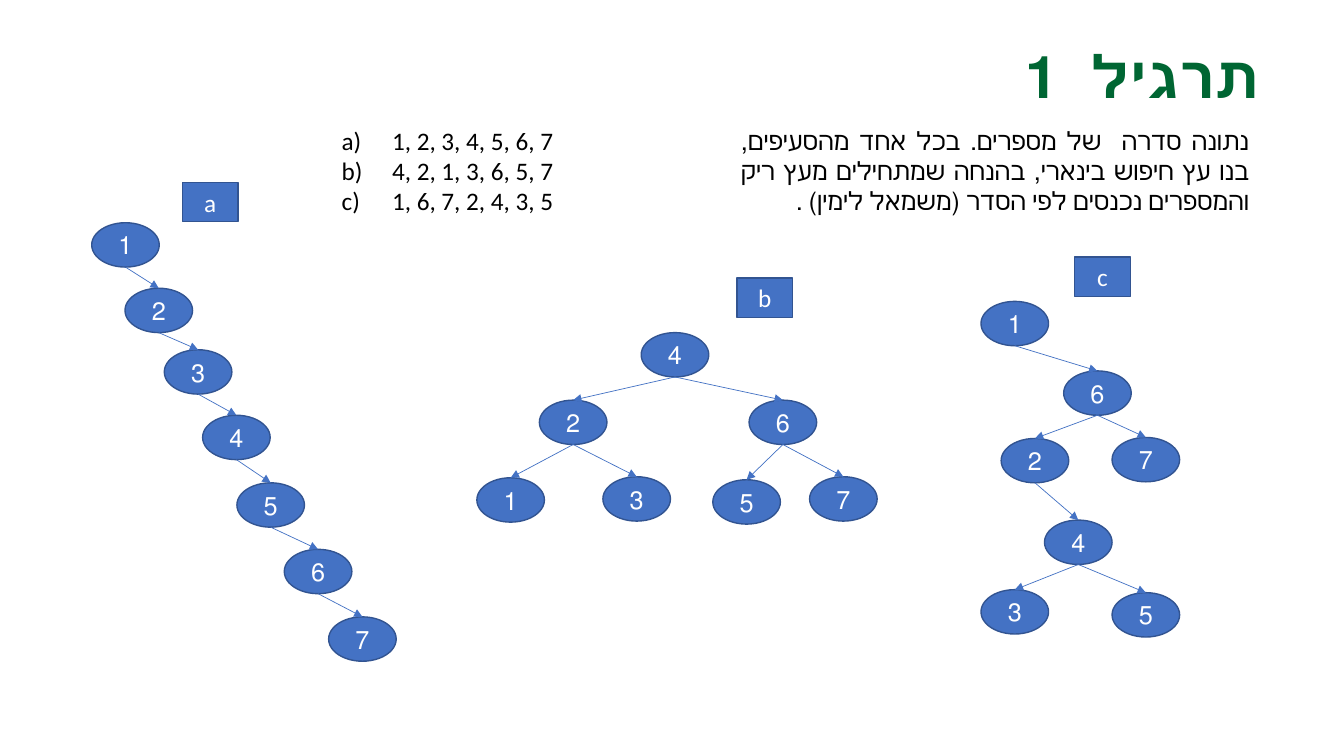
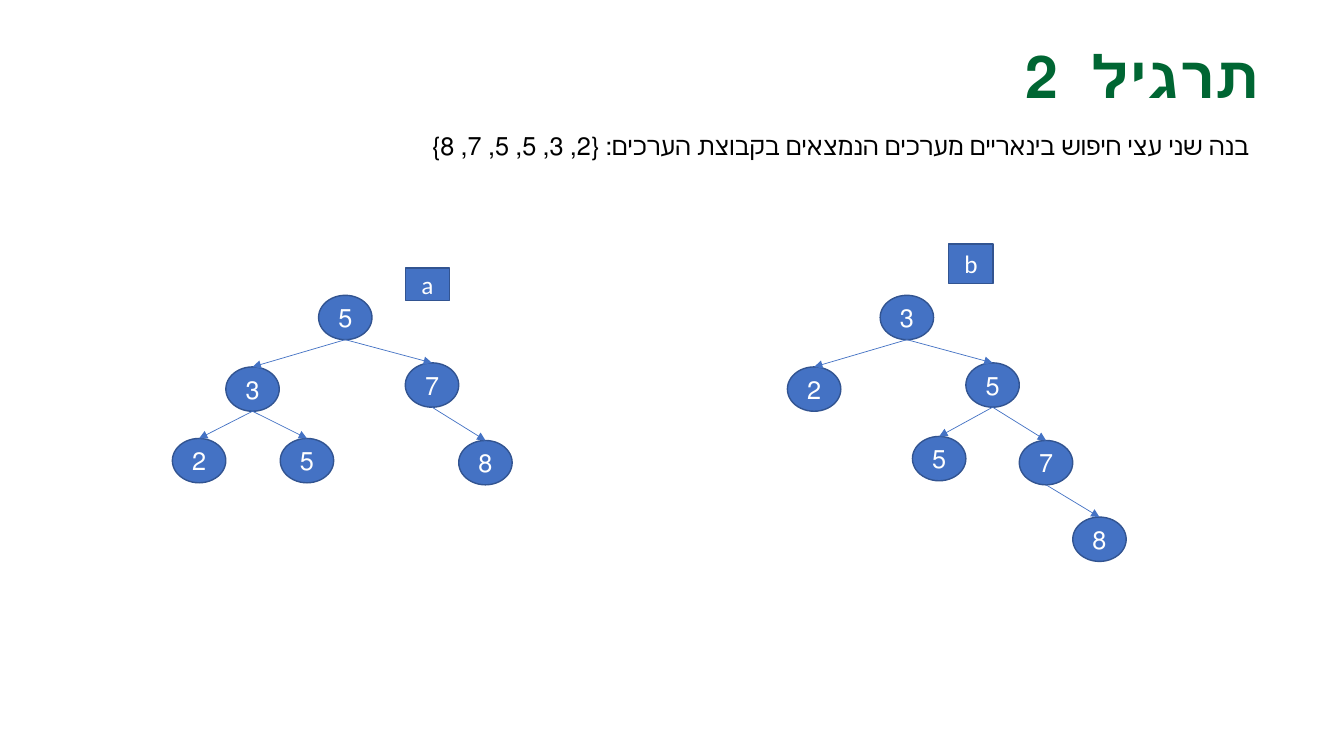
from pptx import Presentation
from pptx.dml.color import RGBColor
from pptx.enum.shapes import MSO_CONNECTOR as Connector, MSO_SHAPE as Shape
from pptx.enum.text import MSO_ANCHOR as Anchor, PP_ALIGN as Align
from pptx.oxml.ns import qn
from pptx.util import Inches, Pt
from lxml.etree import SubElement

GREEN, BLUE, DARK_BLUE = "006633", "4472C4", "325491"
BLACK, WHITE = "000000", "FFFFFF"
TITLE_ONLY = 5
NODE_HEIGHT = 0.44

# A tree node is (value, left, top, *children).
TREE_1A = (
    "1", 0.91, 2.21,
    ("2", 1.24, 2.86,
     ("3", 1.63, 3.47,
      ("4", 2.01, 4.12,
       ("5", 2.35, 4.79,
        ("6", 2.82, 5.45,
         ("7", 3.26, 6.12)))))))
TREE_1B = (
    "4", 6.36, 3.3,
    ("2", 5.35, 3.97, ("1", 4.73, 4.74), ("3", 5.98, 4.73)),
    ("6", 7.43, 3.97, ("5", 7.07, 4.76), ("7", 8.03, 4.73)))
TREE_1C = (
    "1", 9.73, 2.99,
    ("6", 10.55, 3.68,
     ("2", 9.93, 4.35,
      ("4", 10.36, 5.16, ("3", 9.73, 5.85), ("5", 11.03, 5.88))),
     ("7", 11.03, 4.34)))
TREE_2A = (
    "5", 3.16, 2.93,
    ("3", 2.24, 3.64, ("2", 1.71, 4.35), ("5", 2.78, 4.35)),
    ("7", 4.02, 3.6, ("8", 4.55, 4.37)))
TREE_2B = (
    "3", 8.73, 2.93,
    ("2", 7.81, 3.64),
    ("5", 9.58, 3.6,
     ("5", 9.05, 4.33),
     ("7", 10.11, 4.37, ("8", 10.64, 5.13))))


def color(hex_string):
    return RGBColor.from_string(hex_string)


def write(frame, text, size=18, font="Calibri", fill=BLACK, bold=False,
          align=Align.LEFT, anchor=Anchor.TOP, rtl=True):
    """Fill a text frame, one paragraph for each line of text."""
    frame.word_wrap = True
    frame.vertical_anchor = anchor
    frame.text = text
    for paragraph in frame.paragraphs:
        paragraph.alignment = align
        if rtl:
            paragraph._p.get_or_add_pPr().set("rtl", "1")
        for run in paragraph.runs:
            run.font.size = Pt(size)
            run.font.name = font
            run.font.bold = bold
            run.font.color.rgb = color(fill)


class Deck:
    """Holds the presentation, its style and the current slide."""

    def __init__(self):
        self.presentation = Presentation()
        self.presentation.slide_width = Inches(13.33)
        self.presentation.slide_height = Inches(7.5)
        self.slide = None

    def add_slide(self, title):
        layout = self.presentation.slide_layouts[TITLE_ONLY]
        self.slide = self.presentation.slides.add_slide(layout)
        shape = self.slide.shapes.title
        shape.left, shape.top = Inches(3.59), Inches(0.29)
        shape.width, shape.height = Inches(9), Inches(0.9)
        write(shape.text_frame, title, size=42, font="Times New Roman",
              fill=GREEN, bold=True, align=Align.RIGHT, anchor=Anchor.MIDDLE)

    def text(self, text, left, top, width, height, **text_format):
        box = self.slide.shapes.add_textbox(
            Inches(left), Inches(top), Inches(width), Inches(height))
        write(box.text_frame, text, **text_format)

    def block(self, kind, text, left, top, width, height):
        shape = self.slide.shapes.add_shape(
            kind, Inches(left), Inches(top), Inches(width), Inches(height))
        shape.shadow.inherit = False
        shape.fill.solid()
        shape.fill.fore_color.rgb = color(BLUE)
        shape.line.color.rgb = color(DARK_BLUE)
        shape.line.width = Pt(1)
        write(shape.text_frame, text, fill=WHITE, align=Align.CENTER,
              anchor=Anchor.MIDDLE)

    def label(self, text, left, top, width=0.55, height=0.39):
        self.block(Shape.RECTANGLE, text, left, top, width, height)

    def arrow(self, start_x, start_y, end_x, end_y):
        connector = self.slide.shapes.add_connector(
            Connector.STRAIGHT, Inches(start_x), Inches(start_y),
            Inches(end_x), Inches(end_y))
        connector.line.color.rgb = color(BLUE)
        connector.line.width = Pt(0.5)
        SubElement(connector.line._get_or_add_ln(), qn("a:tailEnd"),
                   type="triangle")
        SubElement(connector._element.spPr, qn("a:effectLst"))

    def tree(self, node, node_width=0.67):
        """Draw a node, then its subtrees with arrows leading to them."""
        value, left, top, *children = node
        self.block(Shape.OVAL, value, left, top, node_width, NODE_HEIGHT)
        for child in children:
            _, child_left, child_top, *_ = child
            self.tree(child, node_width)
            self.arrow(left + node_width / 2, top + NODE_HEIGHT,
                       child_left + node_width / 2, child_top)


def main():
    deck = Deck()

    deck.add_slide("תרגיל  1")
    deck.text("נתונה סדרה  של מספרים. בכל אחד מהסעיפים, בנו עץ חיפוש בינארי, "
              "בהנחה שמתחילים מעץ ריק והמספרים נכנסים לפי הסדר "
              "(משמאל לימין) .",
              7.25, 1.19, 5.24, 1.01, align=Align.JUSTIFY)
    deck.text("a)\t1, 2, 3, 4, 5, 6, 7\n"
              "b)\t4, 2, 1, 3, 6, 5, 7\n"
              "c)\t1, 6, 7, 2, 4, 3, 5",
              3.29, 1.19, 3.08, 1.01, rtl=False)
    for tree in (TREE_1A, TREE_1B, TREE_1C):
        deck.tree(tree)
    deck.label("a", 1.81, 1.81)
    deck.label("b", 7.31, 2.76)
    deck.label("c", 10.66, 2.55)

    deck.add_slide("תרגיל  2")
    deck.text("בנה שני עצי חיפוש בינאריים מערכים הנמצאים בקבוצת הערכים: "
              "{2, 3, 5, 5, 7, 8}",
              3.59, 1.24, 8.9, 0.4, align=Align.RIGHT)
    for tree in (TREE_2A, TREE_2B):
        deck.tree(tree, node_width=0.53)
    deck.label("a", 4.02, 2.66, width=0.44, height=0.32)
    deck.label("b", 9.41, 2.42, width=0.44)

    deck.presentation.save("out.pptx")


if __name__ == "__main__":
    main()
